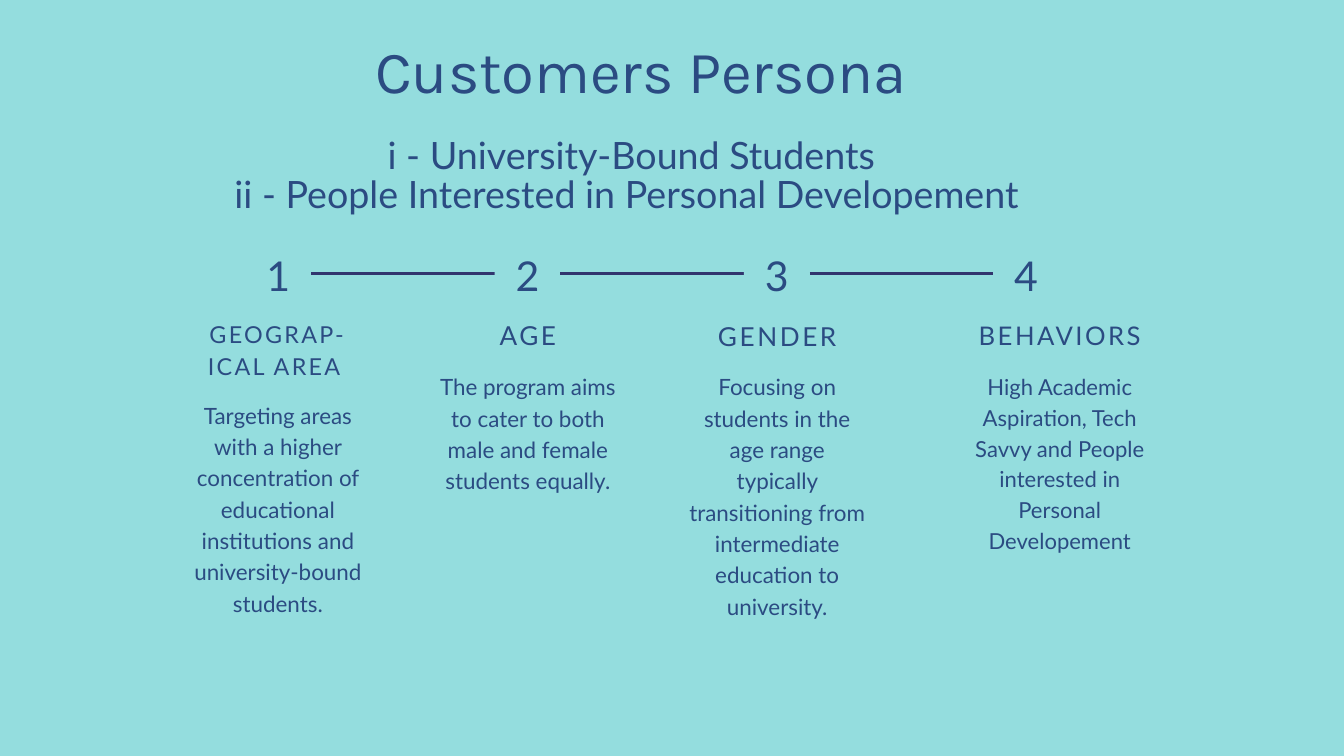
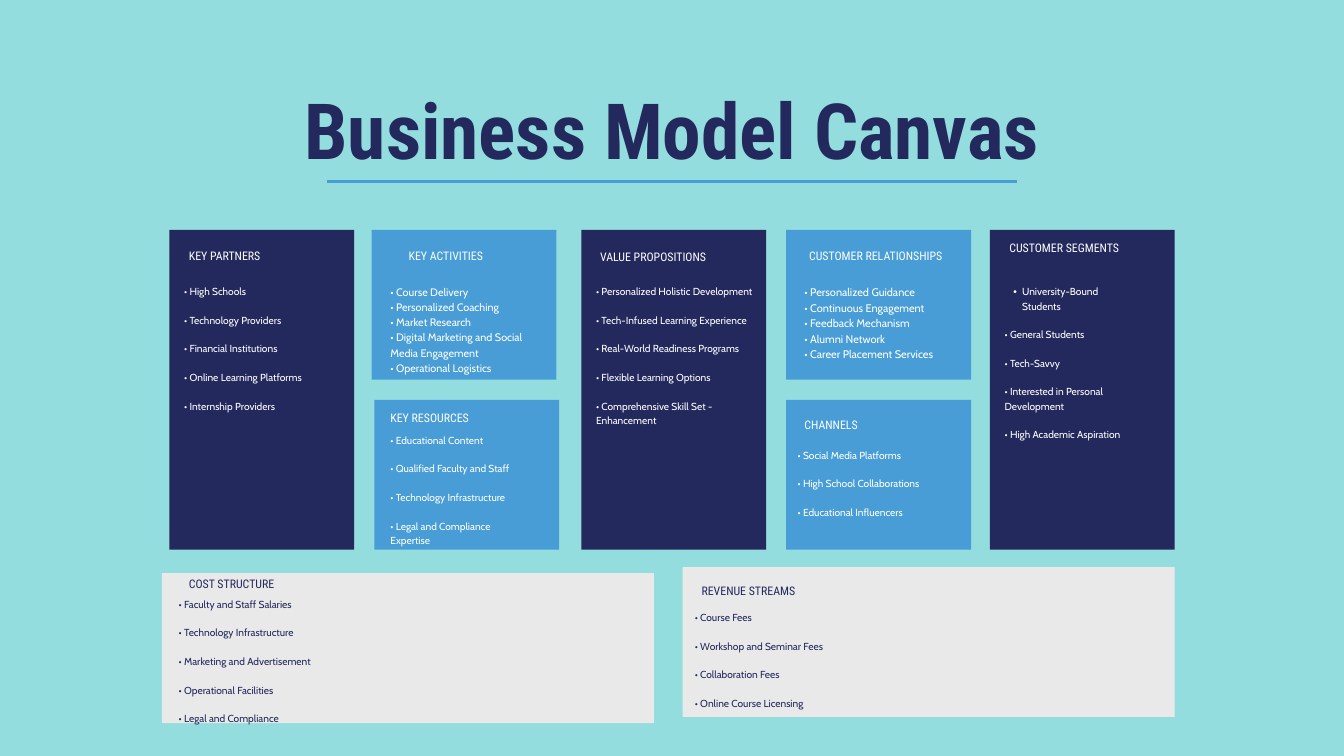
import pptx
import pptx.util
import pptx.dml.color
import pptx.enum.shapes
import pptx.enum.text
import lxml.etree
from pptx.oxml.ns import qn

Inches, Pt = pptx.util.Inches, pptx.util.Pt
ALIGN = pptx.enum.text.PP_ALIGN
ANCHOR = pptx.enum.text.MSO_ANCHOR
AUTO = pptx.enum.text.MSO_AUTO_SIZE

AQUA, INK, NAVY, BLUE = "94DDDE", "2B4B82", "23295D", "489DD7"
RULE, PALE, WHITE = "31356E", "E9E9E9", "FFFFFF"
BODY, HEAD, LIST, TITLE = "Lato", "Roboto Condensed", "Cabin", "Karla"

STEPS = [
    # heading, size, leading, tracking, heading box, body top, body height, body size, paragraphs
    ("GEOGRAP- ICAL AREA ", 25, 35, 2.5, (2.79, 4.69, 2.69, 0.93), 5.91, 3.21, 24,
     ["Targeting areas with a higher concentration of educational",
      "institutions and university-bound students."]),
    ("AGE", 28, 39.2, 2.8, (6.54, 4.68, 2.63, 0.51), 5.49, 2.28, 24,
     ["The program aims to cater to both male and female",
      "students equally."]),
    ("GENDER", 28, 39.2, 2.8, (10.22, 4.69, 2.69, 0.51), 5.49, 4.13, 24,
     ["Focusing on students in the age range typically transitioning from",
      "intermediate education to university."]),
    ("BEHAVIORS", 27.5, 38.5, 2.7, (14.33, 4.69, 2.88, 0.5), 5.49, 2.69, 23.6,
     ["High Academic Aspiration, Tech Savvy and People interested in "
      "Personal Developement"]),
]

# Spaced lists leave one empty line between items, tight ones none.
SPACED, TIGHT, LOOSE = (10.9, 15.3, 15.3), (11.6, 16.2, 0), (11.8, 16.6, 0)
TALL, HALF, WIDE = (2.75, 4.76), (2.75, 2.23), (7.32, 2.23)

BLOCKS = [
    # corner, size, fill, heading, heading box and list box from the corner, list style, items
    ((2.52, 3.42), TALL, NAVY, "KEY PARTNERS", (0.29, 0.24, 1.56, 0.25),
     (0.22, 0.8, 2.41, 1.89), SPACED,
     ["High Schools", "Technology Providers", "Financial Institutions",
      "Online Learning Platforms", "Internship Providers"]),
    ((5.53, 3.42), HALF, BLUE, "KEY ACTIVITIES", (0.55, 0.24, 1.84, 0.25),
     (0.28, 0.8, 2.4, 1.35), TIGHT,
     ["Course Delivery", "Personalized Coaching", "Market Research",
      "Digital Marketing and Social Media Engagement",
      "Operational Logistics"]),
    ((5.57, 5.95), HALF, BLUE, "KEY RESOURCES", (0.24, 0.13, 1.47, 0.5),
     (0.24, 0.48, 2.01, 1.89), SPACED,
     ["Educational Content", "Qualified Faculty and Staff",
      "Technology Infrastructure", "Legal and Compliance Expertise"]),
    ((8.65, 3.42), TALL, NAVY, "VALUE PROPOSITIONS", (0.28, 0.26, 1.66, 0.25),
     (0.22, 0.8, 2.35, 2.73), SPACED,
     ["Personalized Holistic Development", "Tech-Infused Learning Experience",
      "Real-World Readiness Programs", "Flexible Learning Options",
      "Comprehensive Skill Set - Enhancement"]),
    ((11.7, 3.42), HALF, BLUE, "CUSTOMER RELATIONSHIPS", (0.34, 0.24, 2.24, 0.5),
     (0.27, 0.8, 2.31, 1.43), LOOSE,
     ["Personalized Guidance", "Continuous Engagement", "Feedback Mechanism",
      "Alumni Network", "Career Placement Services"]),
    ((11.7, 5.95), HALF, BLUE, "CHANNELS", (0.27, 0.23, 1.27, 0.25),
     (0.17, 0.7, 2.2, 1.05), SPACED,
     ["Social Media Platforms", "High School Collaborations",
      "Educational Influencers"]),
    ((14.73, 3.42), TALL, NAVY, "CUSTOMER SEGMENTS", (0.29, 0.13, 2.06, 0.25),
     (0.22, 0.8, 1.97, 2.52), SPACED,
     ["University-Bound Students", "General Students", "Tech-Savvy",
      "Interested in Personal Development", "High Academic Aspiration"]),
    ((2.41, 8.53), WIDE, PALE, "COST STRUCTURE", (0.4, 0.02, 1.7, 0.25),
     (0.25, 0.34, 3.41, 1.89), SPACED,
     ["Faculty and Staff Salaries", "Technology Infrastructure",
      "Marketing and Advertisement", "Operational Facilities",
      "Legal and Compliance"]),
    ((10.16, 8.44), WIDE, PALE, "REVENUE STREAMS", (0.28, 0.21, 2.7, 0.25),
     (0.18, 0.63, 4.61, 1.47), SPACED,
     ["Course Fees", "Workshop and Seminar Fees", "Collaboration Fees",
      "Online Course Licensing"]),
]


def paint(part, color):
    """Give a fill, or a line's fill, one solid colour."""
    part.solid()
    part.fore_color.rgb = pptx.dml.color.RGBColor.from_string(color)


def indent(para):
    """Give a paragraph a hanging bullet."""
    props = para._p.get_or_add_pPr()
    props.set("marL", str(Inches(0.26)))
    props.set("indent", str(-Inches(0.13)))
    props.set("lvl", "1")
    lxml.etree.SubElement(props, qn("a:buFont")).set("typeface", "Arial")
    lxml.etree.SubElement(props, qn("a:buChar")).set("char", "•")


def write(slide, box, lines, font, size, lead, color, align=ALIGN.CENTER,
          bold=False, track=0, gap=0, middle=False, hang=False):
    """Set lines as paragraphs in a text box without margins."""
    shape = slide.shapes.add_textbox(*map(Inches, box))
    frame = shape.text_frame
    frame.margin_left = frame.margin_right = 0
    frame.margin_top = frame.margin_bottom = 0
    frame.word_wrap = True
    if middle:
        frame.vertical_anchor = ANCHOR.MIDDLE
    else:
        frame.auto_size = AUTO.SHAPE_TO_FIT_TEXT
    frame.text = "\n".join(lines)
    for row, para in enumerate(frame.paragraphs):
        para.alignment = align
        para.line_spacing = Pt(lead)
        if gap and row:
            para.space_before = Pt(gap)
        if hang and not row:
            indent(para)
        for run in para.runs:
            run.font.name, run.font.size, run.font.bold = font, Pt(size), bold
            paint(run.font.fill, color)
            if track:
                run._r.get_or_add_rPr().set("spc", str(round(track * 100)))


def panel(slide, box, color):
    shape = slide.shapes.add_shape(
        pptx.enum.shapes.MSO_SHAPE.RECTANGLE, *map(Inches, box))
    shape.shadow.inherit = False
    paint(shape.fill, color)
    shape.line.fill.background()


def rule(slide, left, right, top, color, width):
    """Draw a level line."""
    line = slide.shapes.add_connector(
        pptx.enum.shapes.MSO_CONNECTOR.STRAIGHT,
        *map(Inches, (left, top, right, top)))
    paint(line.line.fill, color)
    line.line.width = Pt(width)
    lxml.etree.SubElement(line._element.spPr, qn("a:effectLst"))


def track(slide, left, top, count):
    """Draw the numbers joined by lines."""
    step, wide = 3.71, 0.98
    for num in range(count):
        x = left + num * step
        if num:
            rule(slide, x - step + wide, x, top + 0.57, RULE, 2.25)
            panel(slide, (x, top + 0.09, wide, 0.97), AQUA)
        write(slide, (x, top, wide, 1.06), [str(num + 1)], BODY, 44, 61.6,
              INK, track=7.5, middle=True)


def trait(slide, head, size, lead, space, box, top, high, small, lines):
    """Set one heading with its text below."""
    write(slide, box, [head], BODY, size, lead, INK, track=space)
    write(slide, (box[0], top, box[2], high), lines, BODY, small,
          small * 1.4, INK)


def block(slide, spot, size, fill, head, top, body, style, items):
    """Draw one panel of the canvas with its heading and list."""
    def place(box):
        return spot[0] + box[0], spot[1] + box[1], box[2], box[3]

    color = NAVY if fill == PALE else WHITE
    hang = head == "CUSTOMER SEGMENTS"
    panel(slide, spot + size, fill)
    write(slide, place(top), [head], HEAD, 12.7, 17.8, color, ALIGN.LEFT)
    lines = [item if hang and not row else "• " + item
             for row, item in enumerate(items)]
    points, lead, gap = style
    write(slide, place(body), lines, LIST, points, lead, color, ALIGN.LEFT,
          gap=gap, hang=hang)


def start(deck):
    """Add a blank slide with the shared background."""
    slide = deck.slides.add_slide(deck.slide_layouts[6])
    paint(slide.background.fill, AQUA)
    return slide


def persona(deck):
    slide = start(deck)
    write(slide, (0.71, 0.63, 17.65, 0.97), ["Customers Persona"], TITLE,
          64, 67.2, INK)
    write(slide, (0.71, 2.04, 17.37, 1.19),
          ["i - University-Bound Students",
           "ii - People Interested in Personal Developement "],
          BODY, 40.3, 42.4, INK)
    track(slide, 3.65, 3.5, len(STEPS))
    for step in STEPS:
        trait(slide, *step)


def canvas(deck):
    slide = start(deck)
    write(slide, (3.33, 0.99, 13.34, 1.49), ["Business Model Canvas"], HEAD,
          83, 116.2, NAVY, bold=True)
    rule(slide, 4.87, 15.13, 2.7, BLUE, 3)
    for item in BLOCKS:
        block(slide, *item)


def main():
    deck = pptx.Presentation()
    deck.slide_width, deck.slide_height = Inches(20), Inches(11.25)
    persona(deck)
    canvas(deck)
    deck.save("out.pptx")


if __name__ == "__main__":
    main()
